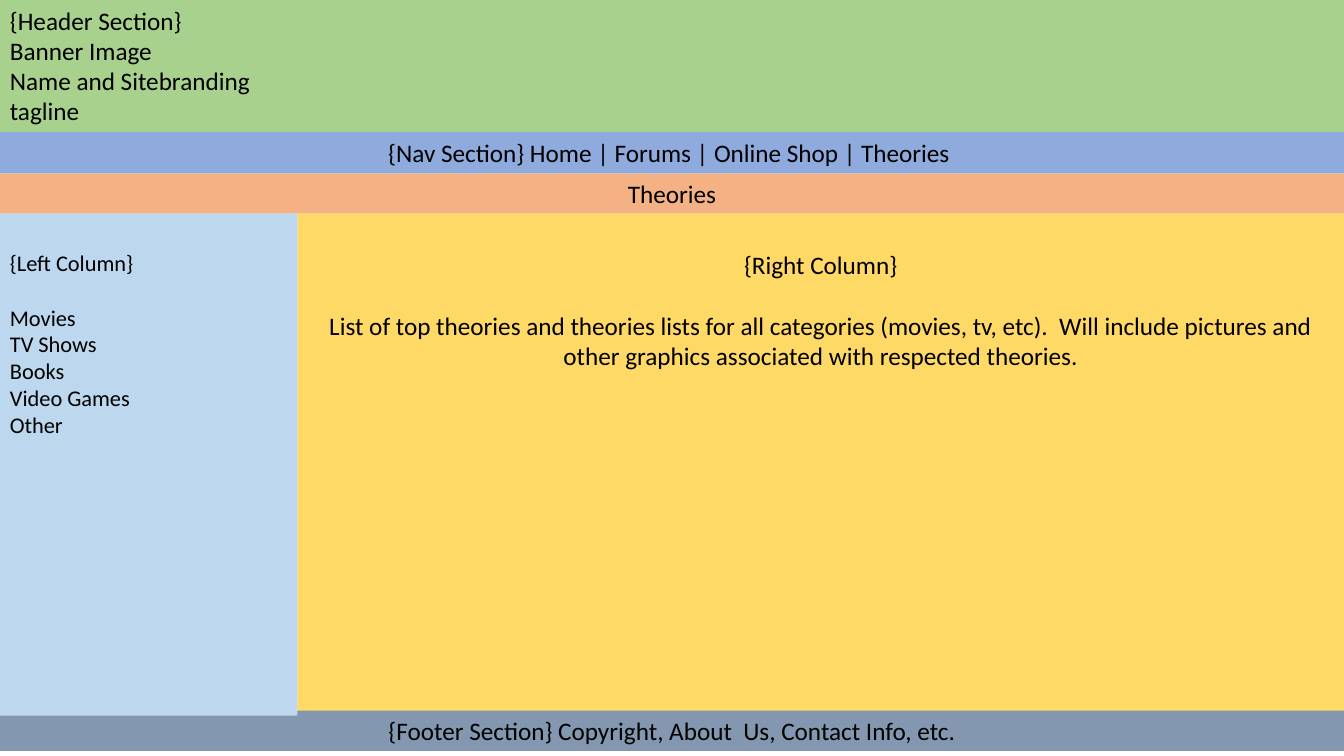
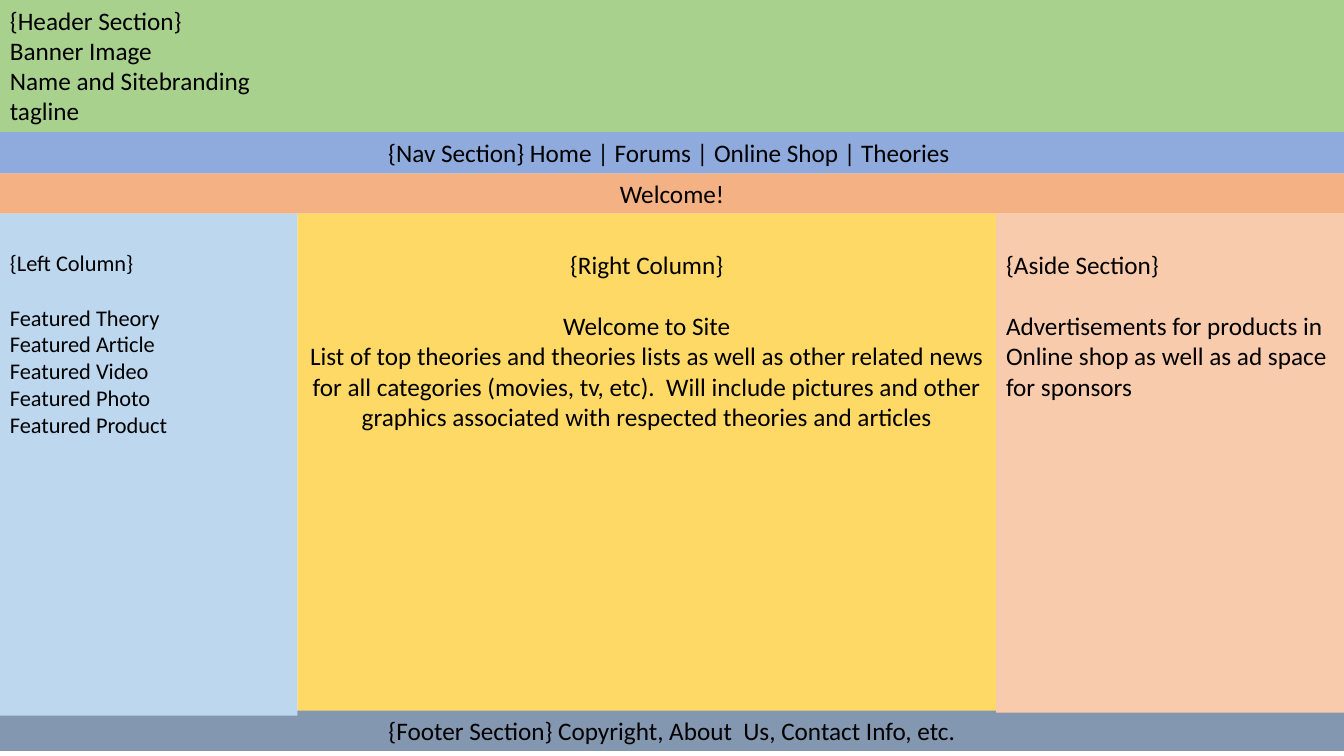
from dataclasses import dataclass

from pptx import Presentation
from pptx import util as u
from pptx.dml.color import RGBColor
from pptx.enum import shapes, text

# Grid edges in inches: left, content and aside columns; stacked page rows
COLS = (0, 2.95, 9.88, 13.33)
ROWS = (0, 1.31, 1.72, 2.12, 7.05, 7.45)
FONT = "Calibri"
LINE = 1.22  # line height as a share of the font size
INSET = 0.05

GREEN, BLUE, ORANGE = "A9D18E", "8FAADC", "F4B183"
YELLOW, SLATE, SKY, PEACH = "FFD966", "8497B0", "BDD7EE", "F8CBAD"
BLACK = "000000"


@dataclass(frozen=True)
class Panel:
    """A filled page section spanning grid columns within one row."""
    row: int
    fill: str
    lines: tuple[str, ...]
    cols: tuple[int, int] = (0, 3)
    size: int = 18
    centered: bool = False
    column: bool = False  # starts one line down, with a gap below its heading
    overhang: float = 0  # inches past the bottom of the row


@dataclass(frozen=True)
class Page:
    title: str
    content: Panel
    sides: tuple[Panel, ...]


# Sections shared by every page
HEADER = Panel(0, GREEN, ("{Header Section}", "Banner Image",
                          "Name and Sitebranding", "tagline"))
NAV = Panel(1, BLUE, ("{Nav Section} Home | Forums | Online Shop | Theories ",),
            centered=True)
FOOTER = Panel(4, SLATE,
               ("{Footer Section} Copyright, About  Us, Contact Info, etc.",),
               centered=True)


def title_band(title: str) -> Panel:
    return Panel(2, ORANGE, (title,), centered=True)


def left_column(*items: str) -> Panel:
    return Panel(3, SKY, ("{Left Column}", *items), cols=(0, 1), size=16,
                 column=True, overhang=0.05)


def right_column(*body: str, end: int, overhang: float) -> Panel:
    return Panel(3, YELLOW, ("{Right Column}", *body), cols=(1, end),
                 centered=True, column=True, overhang=overhang)


def aside(*body: str) -> Panel:
    return Panel(3, PEACH, ("{Aside Section}", *body), cols=(2, 3),
                 column=True, overhang=0.02)


PAGES = (
    Page(
        "Theories",
        right_column(
            "List of top theories and theories lists for all categories "
            "(movies, tv, etc).  Will include pictures and other graphics "
            "associated with respected theories.",
            end=3, overhang=0.32),
        (left_column("Movies", "TV Shows", "Books", "Video Games", "Other"),),
    ),
    Page(
        "Welcome!",
        right_column(
            "Welcome to Site",
            "List of top theories and theories lists as well as other related "
            "news for all categories (movies, tv, etc).  Will include pictures "
            "and other graphics associated with respected theories and articles",
            end=2, overhang=0.02),
        (left_column("Featured Theory", "Featured Article", "Featured Video",
                     "Featured Photo", "Featured Product"),
         aside("Advertisements for products in Online shop as well as ad space "
               "for sponsors")),
    ),
)


def color(value: str) -> RGBColor:
    return RGBColor.from_string(value)


def panel_box(panel: Panel) -> tuple[int, int, int, int]:
    """Left, top, width and height of a panel."""
    left, right = (COLS[c] for c in panel.cols)
    top, bottom = ROWS[panel.row], ROWS[panel.row + 1] + panel.overhang
    return (u.Inches(left), u.Inches(top),
            u.Inches(right - left), u.Inches(bottom - top))


def format_panel(sp, panel: Panel) -> None:
    sp.fill.solid()
    sp.fill.fore_color.rgb = color(panel.fill)
    sp.line.fill.background()

    tf = sp.text_frame
    tf.text = "\n".join(panel.lines)
    tf.word_wrap = True
    tf.auto_size = text.MSO_AUTO_SIZE.NONE
    tf.vertical_anchor = text.MSO_ANCHOR.TOP
    tf.margin_top = tf.margin_bottom = u.Inches(INSET)
    if panel.column:
        tf.margin_top = u.Inches(INSET) + u.Pt(18 * LINE)
        tf.paragraphs[1].space_before = u.Pt(panel.size * LINE)
    for p in tf.paragraphs:
        p.alignment = text.PP_ALIGN.CENTER if panel.centered else text.PP_ALIGN.LEFT
        p.font.name = FONT
        p.font.size = u.Pt(panel.size)
        p.font.color.rgb = color(BLACK)


def add_panel(s, panel: Panel) -> None:
    sp = s.shapes.add_shape(shapes.MSO_SHAPE.RECTANGLE, *panel_box(panel))
    sp.shadow.inherit = False
    format_panel(sp, panel)


def add_page(prs, page: Page) -> None:
    s = prs.slides.add_slide(prs.slide_layouts[5])

    # Title band
    band = title_band(page.title)
    title = s.shapes.title
    title.left, title.top, title.width, title.height = panel_box(band)
    format_panel(title, band)

    # Side columns lie over the footer, the content column under it
    for panel in (HEADER, NAV, page.content, FOOTER, *page.sides):
        add_panel(s, panel)


def main() -> None:
    prs = Presentation()
    prs.slide_width, prs.slide_height = u.Inches(COLS[-1]), u.Inches(7.5)
    for page in PAGES:
        add_page(prs, page)
    prs.save("out.pptx")


if __name__ == "__main__":
    main()
